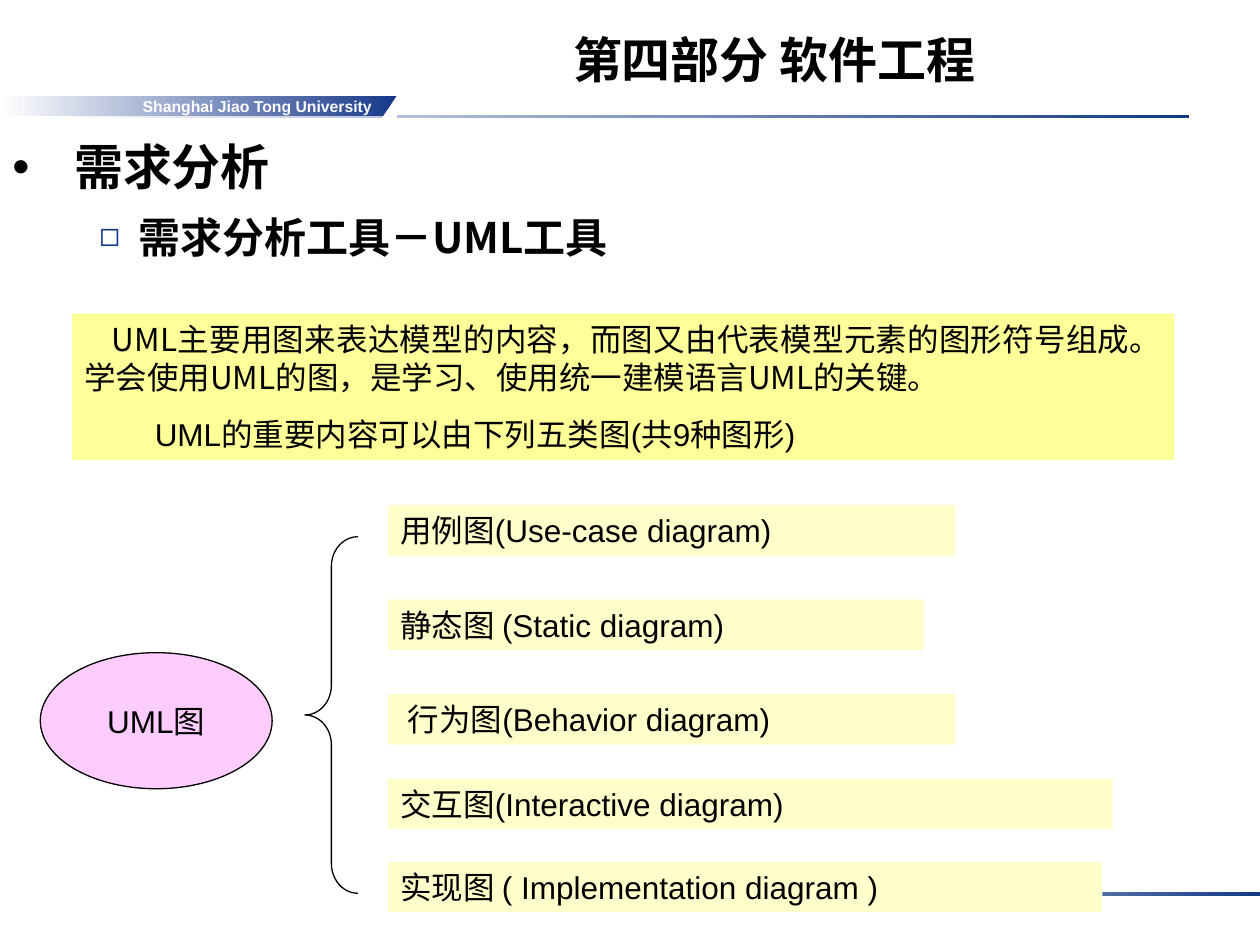
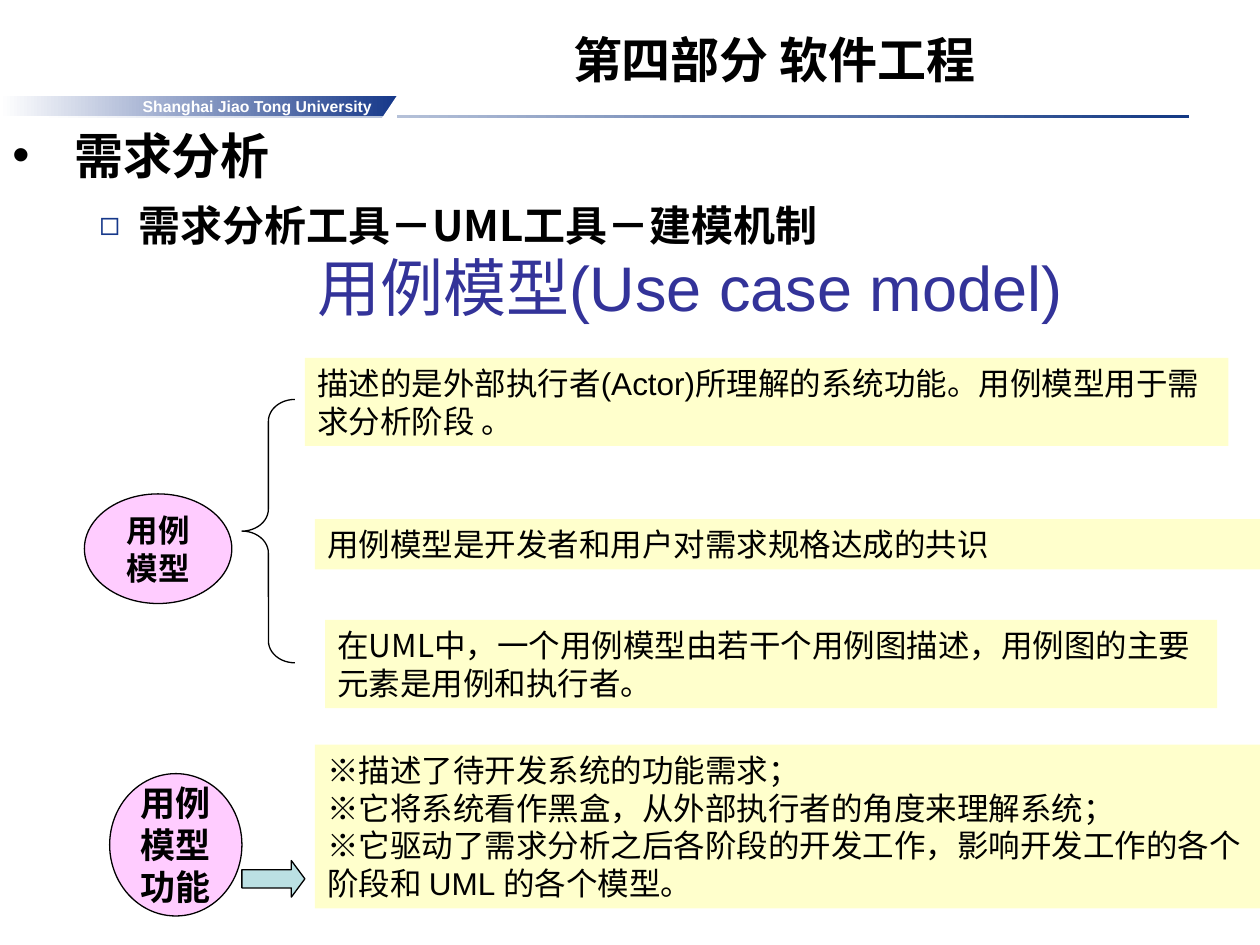
from dataclasses import dataclass

from lxml import etree
from pptx import Presentation
from pptx import util as u
from pptx.dml import color as c
from pptx.enum import shapes, text
from pptx.oxml import ns

SHAPE = shapes.MSO_SHAPE
ALIGN = text.PP_ALIGN
ANCHOR = text.MSO_ANCHOR


@dataclass(frozen=True)
class Theme:
    latin: str = "Arial"
    cjk: str = "Noto Sans CJK SC"
    ink: str = "000000"
    white: str = "FFFFFF"
    rule: str = "133984"
    band: str = "16388A"
    heading: str = "333399"
    note: str = "FFFF99"
    item: str = "FFFFCC"
    topic: str = "FFCCFF"
    arrow: str = "BBE0E3"
    title_size: int = 28
    subtitle_size: int = 24
    heading_size: int = 36
    text_size: int = 18
    large_size: int = 20
    band_size: int = 9
    line: float = 0.75
    gap: float = 11.2


class Deck:
    def __init__(self, theme):
        self.t = theme
        self.prs = Presentation()
        self.prs.slide_width = u.Inches(10)
        self.prs.slide_height = u.Inches(7.5)
        self.s = None

    def shape(self, kind, box, fill=None, line=None):
        sp = self.s.shapes.add_shape(kind, *map(u.Inches, box))
        sp.shadow.inherit = False
        if fill:
            sp.fill.solid()
            sp.fill.fore_color.rgb = c.RGBColor.from_string(fill)
        else:
            sp.fill.background()
        if line:
            sp.line.color.rgb = c.RGBColor.from_string(line)
            sp.line.width = u.Pt(self.t.line)
        else:
            sp.line.fill.background()
        return sp

    def gradient(self, box, end):
        sp = self.shape(SHAPE.RECTANGLE, box)
        sp.fill.gradient()
        sp.fill.gradient_angle = 0
        for stop, rgb in zip(sp.fill.gradient_stops, (self.t.white, end)):
            stop.color.rgb = c.RGBColor.from_string(rgb)
        return sp

    def textbox(self, box):
        return self.s.shapes.add_textbox(*map(u.Inches, box))

    def style(self, r, size, font=None, color=None, bold=False):
        r.font.size = u.Pt(size)
        r.font.bold = bold
        r.font.name = font or self.t.latin
        r.font.color.rgb = c.RGBColor.from_string(color or self.t.ink)
        ea = etree.SubElement(r._r.get_or_add_rPr(), ns.qn("a:ea"))
        ea.set("typeface", self.t.cjk)

    def label(self, sp, content, size, align=ALIGN.LEFT, anchor=ANCHOR.TOP, wrap=True, **font):
        tf = sp.text_frame
        tf.text = content
        tf.word_wrap = wrap
        tf.vertical_anchor = anchor
        for p in tf.paragraphs:
            p.alignment = align
            for r in p.runs:
                self.style(r, size, **font)
        return tf

    def indent(self, p, left, first, **bullet):
        pPr = p._p.get_or_add_pPr()
        pPr.set("marL", str(u.Inches(left)))
        pPr.set("indent", str(u.Inches(first)))
        if bullet:
            clr = etree.SubElement(pPr, ns.qn("a:buClr"))
            etree.SubElement(clr, ns.qn("a:srgbClr")).set("val", bullet["color"])
            etree.SubElement(pPr, ns.qn("a:buSzPct")).set("val", str(bullet["percent"] * 1000))
            etree.SubElement(pPr, ns.qn("a:buFont")).set("typeface", self.t.latin)
            etree.SubElement(pPr, ns.qn("a:buChar")).set("char", bullet["char"])

    def rule(self, box):
        self.gradient(box, self.t.rule)

    def slide(self, title):
        t = self.t
        self.s = self.prs.slides.add_slide(self.prs.slide_layouts[6])
        self.rule((0.31, 0.91, 9.13, 0.03))
        band = self.gradient((0, 0.76, 3.15, 0.16), t.band)
        tf = self.label(band, "Shanghai Jiao Tong University", t.band_size, ALIGN.RIGHT,
                        ANCHOR.MIDDLE, wrap=False, color=t.white, bold=True)
        tf.margin_right = u.Inches(0.2)
        corner = self.shape(SHAPE.RIGHT_TRIANGLE, (3.03, 0.76, 0.12, 0.18), t.white)
        corner._element.spPr.find(ns.qn("a:xfrm")).set("flipH", "1")
        self.label(self.textbox((2.59, 0, 7.11, 0.75)), title, t.title_size,
                   ALIGN.CENTER, ANCHOR.BOTTOM, bold=True)

    def outline(self, top, topic, subtopic):
        t = self.t
        tf = self.label(self.textbox((0, top, 9.25, 5.7)), f"{topic}\n{subtopic}",
                        t.title_size, font=t.cjk, bold=True)
        first, second = tf.paragraphs
        self.indent(first, 0.49, -0.49, char="•", color=t.ink, percent=100)
        self.indent(second, 1, -0.31, char="◻", color=t.band, percent=80)
        second.level = 1
        second.space_before = u.Pt(6)
        second.runs[0].font.size = u.Pt(t.subtitle_size)
        for p in tf.paragraphs:
            p.line_spacing = 1.1

    def panel(self, box, content, fill=None, **font):
        sp = self.shape(SHAPE.RECTANGLE, box, fill or self.t.item)
        return self.label(sp, content, self.t.text_size, **font)

    def topic(self, box, content, size, bold=False):
        sp = self.shape(SHAPE.OVAL, box, self.t.topic, self.t.ink)
        self.label(sp, content, size, ALIGN.CENTER, ANCHOR.MIDDLE, wrap=False, bold=bold)

    def brace(self, left, top, height):
        width = 0.42
        sp = self.shape(SHAPE.LEFT_BRACE, (left, top, width, height), line=self.t.ink)
        sp.adjustments[0] = height / 12 / width
        sp.adjustments[1] = 0.5

    def arrow(self, box):
        sp = self.shape(SHAPE.RIGHT_ARROW, box, self.t.arrow, self.t.ink)
        sp.adjustments[0] = 0.5
        sp.adjustments[1] = 0.37


def diagram_kinds(d):
    t = d.t
    d.slide("第四部分 软件工程")
    d.rule((5.28, 7.08, 4.72, 0.03))
    d.outline(0.99, "需求分析", "需求分析工具－UML工具")
    tf = d.panel((0.57, 2.49, 8.75, 1.16),
                 "UML主要用图来表达模型的内容，而图又由代表模型元素的图形符号组成。"
                 "学会使用UML的图，是学习、使用统一建模语言UML的关键。\n"
                 "UML的重要内容可以由下列五类图(共9种图形)", fill=t.note)
    intro, count = tf.paragraphs
    intro.alignment = ALIGN.JUSTIFY
    intro.runs[0].font.name = t.cjk
    d.indent(intro, 0, 0.22)
    d.indent(count, 0, 0.56)
    count.space_before = u.Pt(t.gap)
    d.topic((0.32, 5.18, 1.84, 1.08), "UML图", t.text_size)
    kinds = [
        (4.01, 4.5, 0, "用例图(Use-case diagram)"),
        (4.76, 4.25, 0, "静态图 (Static diagram)"),
        (5.51, 4.5, 0.06, "行为图(Behavior diagram)"),
        (6.18, 5.75, 0, "交互图(Interactive diagram)"),
        (6.84, 5.67, 0, "实现图 ( Implementation diagram )"),
    ]
    for top, width, first, name in kinds:
        tf = d.panel((3.08, top, width, 0.4), name)
        d.indent(tf.paragraphs[0], 0, first)
    d.brace(2.42, 4.26, 2.83)


def use_case_model(d):
    t = d.t
    d.slide("第四部分 软件工程")
    d.outline(0.9, "需求分析", "需求分析工具－UML工具－建模机制")
    d.label(d.textbox((2.1, 1.92, 6.75, 0.7)), "用例模型(Use case model)",
            t.heading_size, ALIGN.CENTER, color=t.heading)
    d.panel((2.42, 2.84, 7.33, 0.7),
            "描述的是外部执行者(Actor)所理解的系统功能。用例模型用于需求分析阶段 。")
    d.panel((2.58, 4.92, 7.08, 0.7),
            "在UML中，一个用例模型由若干个用例图描述，用例图的主要元素是用例和执行者。", font=t.cjk)
    d.panel((2.5, 4.12, 7.5, 0.4), "用例模型是开发者和用户对需求规格达成的共识", font=t.cjk)
    d.brace(1.92, 3.17, 2.09)
    d.topic((0.67, 3.92, 1.17, 0.87), "用例\n模型", t.text_size, bold=True)
    tf = d.panel((2.5, 5.91, 7.5, 1.3),
                 "※描述了待开发系统的功能需求；\v"
                 "※它将系统看作黑盒，从外部执行者的角度来理解系统；\v"
                 "※它驱动了需求分析之后各阶段的开发工作，影响开发工作的各个阶段和 ", font=t.cjk)
    for part, font in (("UML ", t.latin), ("的各个模型。", t.cjk)):
        r = tf.paragraphs[0].add_run()
        r.text = part
        d.style(r, t.text_size, font)
    d.topic((0.87, 6.14, 1.05, 1.13), "用例\n模型\n功能", t.large_size, bold=True)
    d.arrow((1.92, 6.83, 0.5, 0.29))


def main():
    d = Deck(Theme())
    diagram_kinds(d)
    use_case_model(d)
    d.prs.save("out.pptx")


if __name__ == "__main__":
    main()
